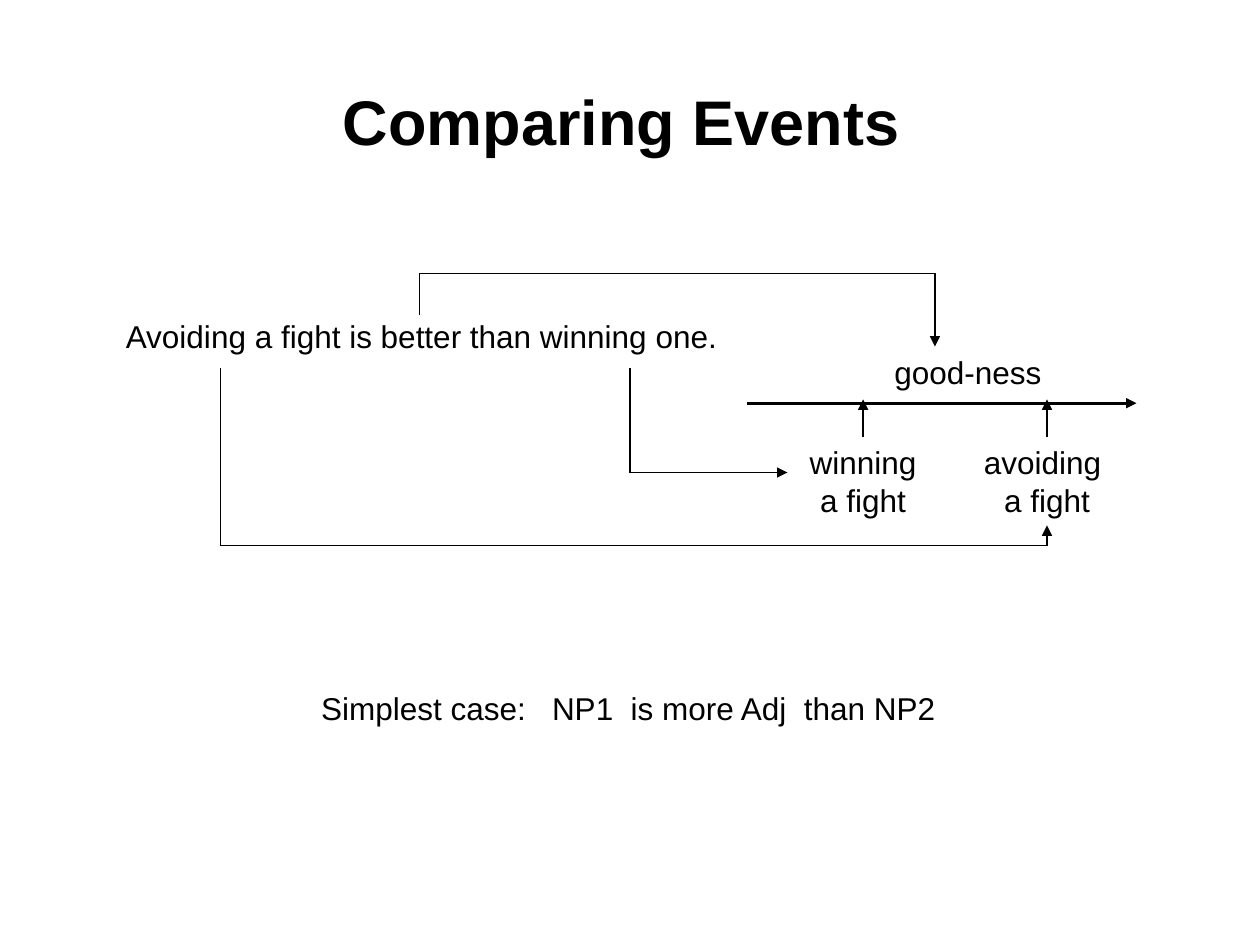
from itertools import pairwise

from lxml import etree
from pptx import Presentation
from pptx.dml.color import RGBColor
from pptx.enum.shapes import MSO_CONNECTOR as Connector
from pptx.enum.text import MSO_ANCHOR as Anchor, MSO_AUTO_SIZE as AutoSize, PP_ALIGN as Align
from pptx.oxml.ns import qn
from pptx.util import Inches, Pt

BLACK = "000000"
TOP, BOTTOM = 0, 2


def color(hex_value):
    return RGBColor.from_string(hex_value)


def write(frame, text, size=18, bold=False, align=Align.LEFT):
    for index, line in enumerate(text.split("\n")):
        paragraph = frame.add_paragraph() if index else frame.paragraphs[0]
        paragraph.alignment = align
        run = paragraph.add_run()
        run.text = line
        run.font.name = "Arial"
        run.font.size = Pt(size)
        run.font.bold = bold
        run.font.color.rgb = color(BLACK)


def add_title(slide, text):
    title = slide.shapes.title
    title.left, title.top = Inches(0.75), Inches(0.33)
    title.width, title.height = Inches(8.5), Inches(1.25)
    title.text_frame.vertical_anchor = Anchor.MIDDLE
    write(title.text_frame, text, size=36, bold=True, align=Align.CENTER)


def add_label(slide, text, left, top, width, height=0.4, **text_format):
    label = slide.shapes.add_textbox(
        Inches(left), Inches(top), Inches(width), Inches(height))
    label.text_frame.word_wrap = False
    label.text_frame.auto_size = AutoSize.SHAPE_TO_FIT_TEXT
    write(label.text_frame, text, **text_format)
    return label


def add_line(slide, start, end, weight=0.75, arrow=False):
    line = slide.shapes.add_connector(
        Connector.STRAIGHT, *(Inches(value) for value in (*start, *end)))
    line.line.color.rgb = color(BLACK)
    line.line.width = Pt(weight)
    if arrow:
        outline = line.line._get_or_add_ln()
        etree.SubElement(outline, qn("a:tailEnd"), type="triangle")
    etree.SubElement(line._element.spPr, qn("a:effectLst"))
    return line


def add_route(slide, *points):
    for start, end in pairwise(points):
        line = add_line(slide, start, end, arrow=end == points[-1])
    return line


def add_event(slide, text, center, width):
    event = add_label(slide, text, center - width / 2, 3.47, width, 0.7,
                      align=Align.CENTER)
    pointer = add_line(slide, (center, 3.47), (center, 3.17), arrow=True)
    pointer.begin_connect(event, TOP)
    return event


def main():
    presentation = Presentation()
    presentation.slide_width, presentation.slide_height = Inches(10), Inches(7.5)
    slide = presentation.slides.add_slide(presentation.slide_layouts[5])

    add_title(slide, "Comparing Events ")
    add_label(slide, "Avoiding a fight is better than winning one.", 0.9, 2.47, 4.89)

    add_line(slide, (5.93, 3.2), (9.02, 3.2), weight=1.5, arrow=True)
    add_label(slide, "good-ness", 7, 2.75, 1.38)
    avoiding_center = 8.31
    avoiding = add_event(slide, "avoiding \na fight", avoiding_center, 1.2)
    add_event(slide, "winning\na fight", 6.85, 1.08)

    add_route(slide, (3.33, 2.5), (3.33, 2.17), (7.42, 2.17), (7.42, 2.75))
    add_route(slide, (5, 2.92), (5, 3.75), (6.25, 3.75))
    avoiding_arrow = add_route(slide, (1.75, 2.92), (1.75, 4.33),
                               (avoiding_center, 4.33), (avoiding_center, 4.17))
    avoiding_arrow.end_connect(avoiding, BOTTOM)

    add_label(slide, "Simplest case:   NP1  is more Adj  than NP2", 2.45, 5.42, 5.09)
    presentation.save("out.pptx")


if __name__ == "__main__":
    main()
